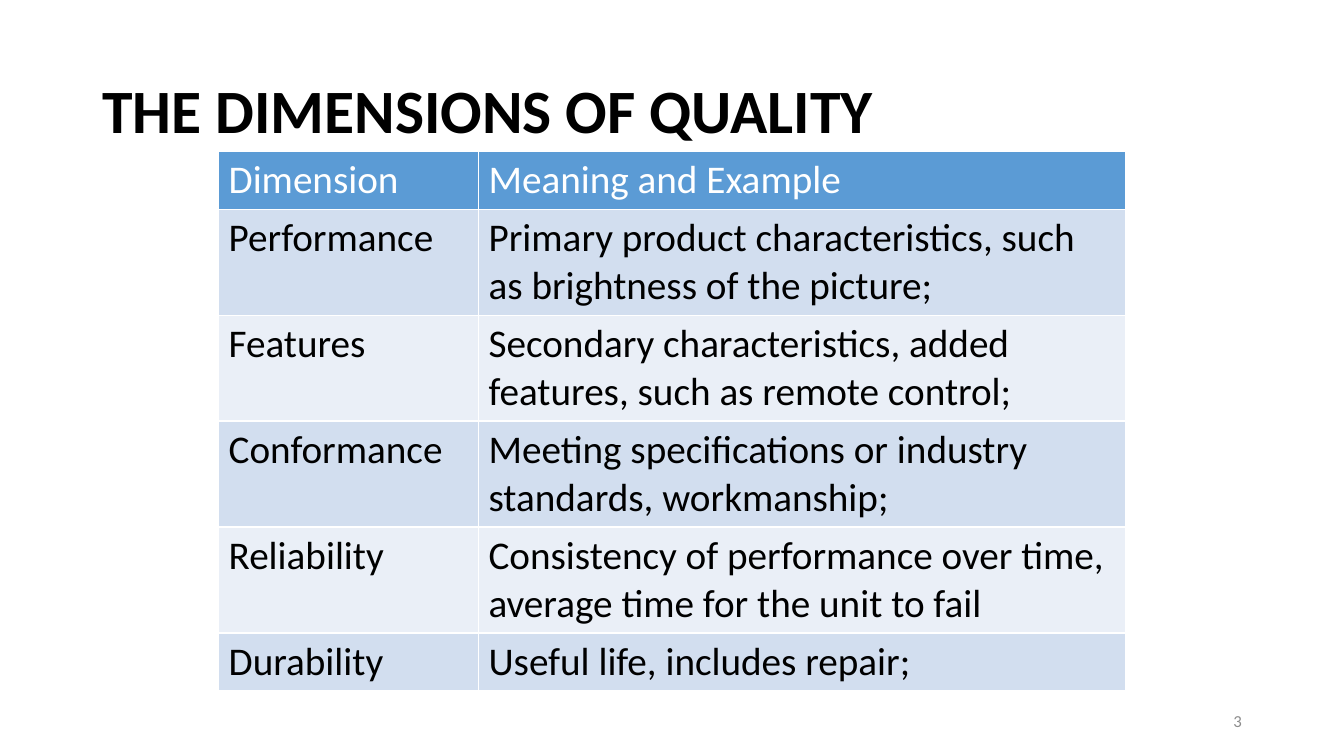
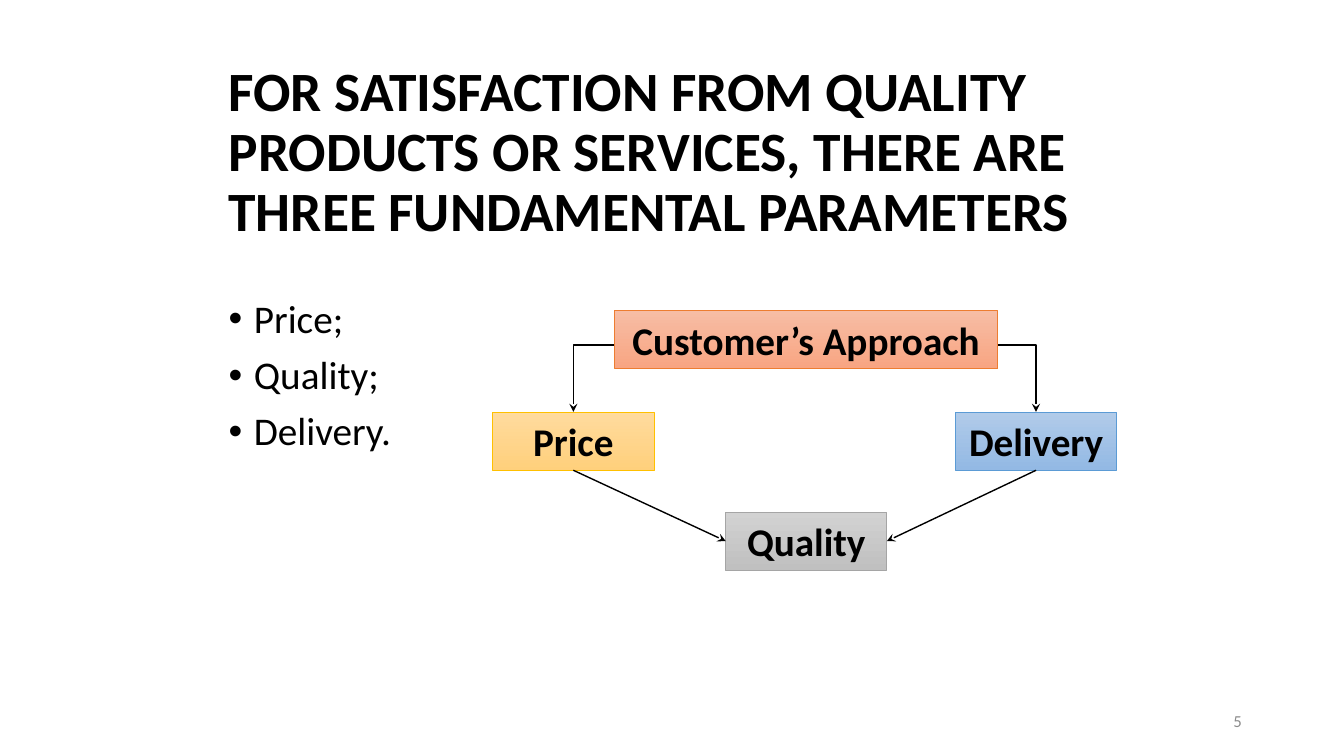
from lxml import etree
from pptx import Presentation
from pptx.dml.color import RGBColor
from pptx.enum.shapes import MSO_CONNECTOR, MSO_SHAPE
from pptx.enum.text import MSO_ANCHOR, PP_ALIGN
from pptx.oxml.ns import qn
from pptx.util import Cm, Pt

RECTANGLE = MSO_SHAPE.RECTANGLE
STRAIGHT = MSO_CONNECTOR.STRAIGHT
MIDDLE, TOP = MSO_ANCHOR.MIDDLE, MSO_ANCHOR.TOP
LEFT, CENTER, RIGHT = PP_ALIGN.LEFT, PP_ALIGN.CENTER, PP_ALIGN.RIGHT
BOTTOM_SIDE, LEFT_SIDE, RIGHT_SIDE = 2, 1, 3

BLACK = RGBColor(0x00, 0x00, 0x00)
WHITE = RGBColor(0xFF, 0xFF, 0xFF)
GREY = RGBColor(0x8C, 0x8C, 0x8C)
HEADER_BLUE = RGBColor(0x5B, 0x9B, 0xD5)
BANDS = (RGBColor(0xD2, 0xDE, 0xEF), RGBColor(0xEA, 0xEF, 0xF7))
# Line colour, then the top and bottom of the gradient
ORANGE = (RGBColor(0xED, 0x7D, 0x31), RGBColor(0xF7, 0xBD, 0xA5), RGBColor(0xF8, 0xA5, 0x82))
GOLD = (RGBColor(0xFF, 0xC0, 0x00), RGBColor(0xFF, 0xDB, 0x9E), RGBColor(0xFF, 0xD0, 0x7C))
BLUE = (HEADER_BLUE, RGBColor(0xB1, 0xCB, 0xE9), RGBColor(0x93, 0xB9, 0xE4))
SILVER = (RGBColor(0xA5, 0xA5, 0xA5), RGBColor(0xD2, 0xD2, 0xD2), RGBColor(0xC0, 0xC0, 0xC0))

BODY_FONT = {"name": "Calibri", "size": Pt(28), "bold": False}
TITLE_FONT = {**BODY_FONT, "size": Pt(44), "bold": True}
BOX_FONT = {**BODY_FONT, "bold": True}
NUMBER_FONT = {**BODY_FONT, "size": Pt(12)}
TIGHT = {"line_spacing": 0.9}

DIMENSIONS_TITLE = "THE DIMENSIONS OF QUALITY"
DIMENSIONS = [
    ("Dimension", "Meaning and Example"),
    ("Performance", "Primary product characteristics, such as brightness of the picture;"),
    ("Features", "Secondary characteristics, added features, such as remote control;"),
    ("Conformance", "Meeting specifications or industry standards, workmanship;"),
    ("Reliability", "Consistency of performance over time, average time for the unit to fail"),
    ("Durability", "Useful life, includes repair;"),
]
COLUMN_WIDTHS = (Cm(6.55), Cm(16.31))
ONE_LINE, TWO_LINES = Cm(1.46), Cm(2.67)
ROW_HEIGHTS = (ONE_LINE, TWO_LINES, TWO_LINES, TWO_LINES, TWO_LINES, ONE_LINE)

PARAMETERS_TITLE = ("FOR SATISFACTION FROM QUALITY PRODUCTS OR SERVICES, "
                    "THERE ARE THREE FUNDAMENTAL PARAMETERS")
PARAMETERS = ["Price;", "Quality;", "Delivery."]
BOX_HEIGHT = Cm(1.47)
BOXES = {  # text: left, top, width, colours
    "Customer’s Approach": (Cm(15.49), Cm(7.82), Cm(9.65), ORANGE),
    "Price": (Cm(12.42), Cm(10.38), Cm(4.06), GOLD),
    "Quality": (Cm(18.29), Cm(12.9), Cm(4.06), SILVER),
    "Delivery": (Cm(24.08), Cm(10.38), Cm(4.06), BLUE),
}
ELBOW_TOP = Cm(8.69)
CONTENT_LEFT, CONTENT_WIDTH = Cm(5.51), Cm(22.86)


def set_attributes(target, values):
    for name, value in values.items():
        setattr(target, name, value)


def write(frame, lines, font, color=BLACK, align=LEFT, anchor=MIDDLE, spacing=None):
    """Fill a text frame with one paragraph a line and return the paragraphs."""
    frame.word_wrap = True
    frame.vertical_anchor = anchor
    frame.text = "\n".join(lines)
    for paragraph in frame.paragraphs:
        set_attributes(paragraph, {"alignment": align, **(spacing or {})})
        set_attributes(paragraph.font, font)
        paragraph.font.color.rgb = color
    return frame.paragraphs


def add_text(slide, bounds, lines, font, **layout):
    return write(slide.shapes.add_textbox(*bounds).text_frame, lines, font, **layout)


def add_slide(presentation, title, title_bounds, title_size, number):
    slide = presentation.slides.add_slide(presentation.slide_layouts[6])
    add_text(slide, title_bounds, [title], {**TITLE_FONT, "size": title_size}, spacing=TIGHT)
    add_text(slide, (Cm(23.93), Cm(17.65), Cm(7.62), Cm(1.02)), [number], NUMBER_FONT,
             color=GREY, align=RIGHT)
    return slide


def add_borders(cell):
    properties = cell._tc.get_or_add_tcPr()
    for index, side in enumerate(("lnL", "lnR", "lnT", "lnB")):
        border = etree.Element(qn(f"a:{side}"), w=str(Pt(1)))
        fill = etree.SubElement(border, qn("a:solidFill"))
        etree.SubElement(fill, qn("a:srgbClr"), val=str(WHITE))
        properties.insert(index, border)


def add_dimension_table(slide):
    table = slide.shapes.add_table(
        len(DIMENSIONS), len(COLUMN_WIDTHS), CONTENT_LEFT, Cm(3.81),
        sum(COLUMN_WIDTHS), sum(ROW_HEIGHTS)).table
    for column, width in zip(table.columns, COLUMN_WIDTHS):
        column.width = width
    for row_index, (row, height, texts) in enumerate(zip(table.rows, ROW_HEIGHTS, DIMENSIONS)):
        row.height = height
        is_header = row_index == 0
        for cell, text in zip(row.cells, texts):
            write(cell.text_frame, [text], BODY_FONT, color=WHITE if is_header else BLACK)
            cell.vertical_anchor = TOP
            cell.fill.solid()
            cell.fill.fore_color.rgb = HEADER_BLUE if is_header else BANDS[(row_index - 1) % 2]
            add_borders(cell)


def add_bullets(slide):
    paragraphs = add_text(
        slide, (CONTENT_LEFT, Cm(7.42), CONTENT_WIDTH, Cm(9.6)), PARAMETERS, BODY_FONT,
        anchor=TOP, spacing={**TIGHT, "space_before": Pt(10)})
    indent = Cm(0.64)
    for paragraph in paragraphs:
        properties = paragraph._p.get_or_add_pPr()
        properties.set("marL", str(indent))
        properties.set("indent", str(-indent))
        bullet_font = etree.Element(qn("a:buFont"), typeface="Arial")
        bullet = etree.Element(qn("a:buChar"), char="•")
        default_font = properties.find(qn("a:defRPr"))
        default_font.addprevious(bullet_font)
        default_font.addprevious(bullet)


def style_arrow(shape, ends):
    shape.line.color.rgb = BLACK
    shape.line.width = Pt(1)
    line = shape.element.spPr.find(qn("a:ln"))
    for end in ends:
        etree.SubElement(line, qn(f"a:{end}"), type="stealth")


def add_box(slide, text, left, top, width, colors):
    line_color, *gradient_colors = colors
    box = slide.shapes.add_shape(RECTANGLE, left, top, width, BOX_HEIGHT)
    box.shadow.inherit = False
    box.line.color.rgb = line_color
    box.line.width = Pt(0.5)
    box.fill.gradient()
    box.fill.gradient_angle = 270
    for stop, color in zip(box.fill.gradient_stops, gradient_colors):
        stop.color.rgb = color
    write(box.text_frame, [text], BOX_FONT, align=CENTER)
    return box


def add_elbow(slide):
    """Draw the two-headed line from Price up behind the top box and down to Delivery."""
    (start, bottom), (end, _) = [
        (left + width // 2, top)
        for left, top, width, _ in (BOXES["Price"], BOXES["Delivery"])]
    builder = slide.shapes.build_freeform(start, bottom)
    builder.add_line_segments([(start, ELBOW_TOP), (end, ELBOW_TOP), (end, bottom)], close=False)
    elbow = builder.convert_to_shape()
    elbow.shadow.inherit = False
    elbow.fill.background()
    style_arrow(elbow, ("headEnd", "tailEnd"))


def add_approach_diagram(slide):
    add_elbow(slide)
    boxes = {text: add_box(slide, text, *place) for text, place in BOXES.items()}
    for source, side in (("Price", LEFT_SIDE), ("Delivery", RIGHT_SIDE)):
        arrow = slide.shapes.add_connector(STRAIGHT, 0, 0, 0, 0)
        arrow.begin_connect(boxes[source], BOTTOM_SIDE)
        arrow.end_connect(boxes["Quality"], side)
        style_arrow(arrow, ("tailEnd",))
        etree.SubElement(arrow.element.spPr, qn("a:effectLst"))


def main():
    presentation = Presentation()
    presentation.slide_width, presentation.slide_height = Cm(33.87), Cm(19.05)

    slide = add_slide(presentation, DIMENSIONS_TITLE,
                      (Cm(2.33), Cm(1.02), Cm(29.21), Cm(3.68)), Pt(44), "3")
    add_dimension_table(slide)

    slide = add_slide(presentation, PARAMETERS_TITLE,
                      (CONTENT_LEFT, Cm(0.76), CONTENT_WIDTH, Cm(6.22)), Pt(39.6), "5")
    add_bullets(slide)
    add_approach_diagram(slide)

    presentation.save("out.pptx")


if __name__ == "__main__":
    main()
